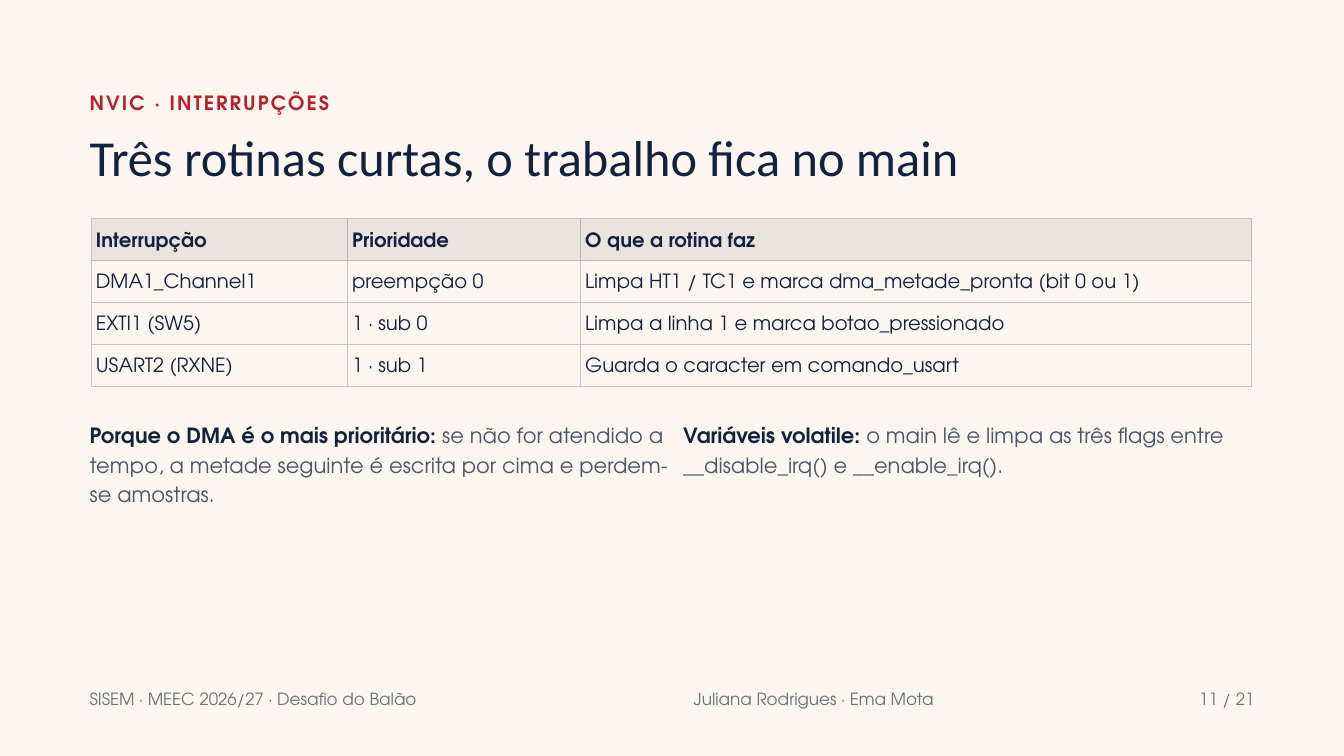
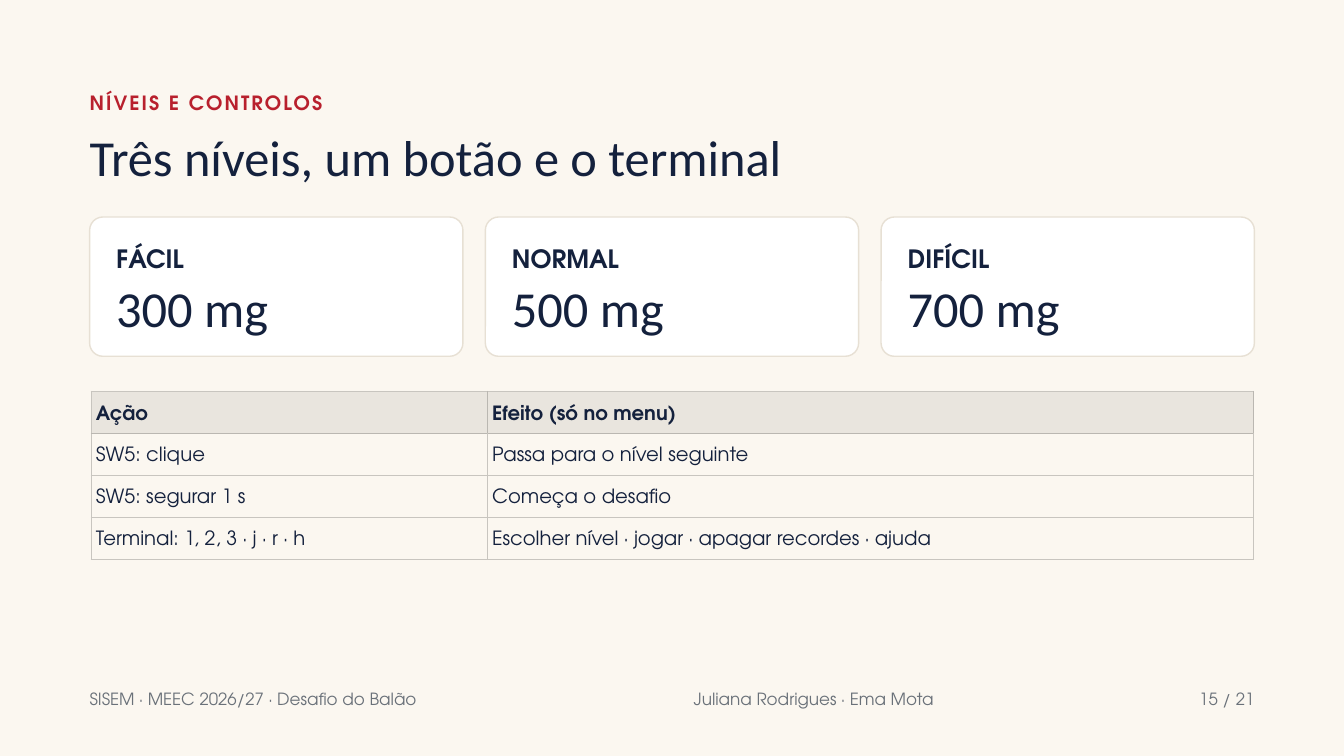
from lxml.etree import SubElement
from pptx import Presentation
from pptx.dml.color import RGBColor
from pptx.enum.shapes import MSO_SHAPE
from pptx.enum.text import MSO_AUTO_SIZE, PP_ALIGN
from pptx.oxml.ns import qn
from pptx.util import Emu, Pt

# Colours and fonts
CREAM = RGBColor(0xFB, 0xF7, 0xF0)
WHITE = RGBColor(0xFF, 0xFF, 0xFF)
NAVY = RGBColor(0x14, 0x21, 0x3D)
RED = RGBColor(0xB8, 0x20, 0x2D)
SLATE = RGBColor(0x4A, 0x55, 0x68)
GREY = RGBColor(0x6A, 0x71, 0x79)
SAND = RGBColor(0xE7, 0xE0, 0xD4)
HEAD = RGBColor(0xE9, 0xE5, 0xDE)
RULE = RGBColor(0xC8, 0xC5, 0xBF)
DARK = RGBColor(0xBA, 0xB7, 0xB1)
SANS = "TeX Gyre Adventor"
TITLE = "Calibri"

# Grid in px, 96 to the inch
LEFT, WIDTH, GAP = 128, 1664, 32
ROW = 60


def px(n):
    return Emu(round(n * 9525))


def style(font, size, color, bold=False, name=SANS):
    font.size, font.name, font.bold = Pt(size), name, bold
    font.color.rgb = color


def add_box(slide, x, y, w, h, lead):
    """Add an empty text box and return its first paragraph."""
    frame = slide.shapes.add_textbox(px(x), px(y), px(w), px(h)).text_frame
    frame.margin_left = frame.margin_right = 0
    frame.margin_top = frame.margin_bottom = 0
    frame.word_wrap = True
    frame.auto_size = MSO_AUTO_SIZE.SHAPE_TO_FIT_TEXT
    para = frame.paragraphs[0]
    para.line_spacing = Pt(lead)
    return para


def add_text(slide, text, x, y, w, h, size, lead, color=NAVY, bold=False, name=SANS):
    para = add_box(slide, x, y, w, h, lead)
    para.add_run().text = text
    style(para.font, size, color, bold, name)
    return para


def add_note(slide, x, lead, rest):
    para = add_box(slide, x, 598, 841, 135, 31.5)
    for text, color, bold in ((lead, NAVY, True), (rest, SLATE, False)):
        run = para.add_run()
        run.text = text
        style(run.font, 22.5, color, bold)


def add_border(cell, side, color):
    line = SubElement(cell._tc.get_or_add_tcPr(), qn(f"a:ln{side}"), w="12700")
    fill = SubElement(line, qn("a:solidFill"))
    SubElement(fill, qn("a:srgbClr"), val=str(color))


def fill_cell(cell, text, row, col, last):
    cell.margin_left = cell.margin_right = px(7)
    cell.margin_top = cell.margin_bottom = px(7)
    head = row == 0
    edges = {
        "L": DARK if head and col > 0 else RULE,
        "R": DARK if head else RULE,
        "T": DARK if row == 1 else RULE,
        "B": DARK if head else RULE,
    }
    for side, color in edges.items():
        add_border(cell, side, color)
    if head:
        cell.fill.solid()
        cell.fill.fore_color.rgb = HEAD
    else:
        cell.fill.background()
    para = cell.text_frame.paragraphs[0]
    para.line_spacing = Pt(29.4)
    para.add_run().text = text
    style(para.font, 21, NAVY, head)


def add_grid(slide, y, widths, rows):
    table = slide.shapes.add_table(
        len(rows), len(widths), px(LEFT + 2), px(y), px(sum(widths)), px(ROW * len(rows))
    ).table
    table.first_row = table.horz_banding = False
    for col, width in zip(table.columns, widths):
        col.width = px(width)
    for r, texts in enumerate(rows):
        table.rows[r].height = px(ROW)
        for c, text in enumerate(texts):
            fill_cell(table.cell(r, c), text, r, c, len(widths) - 1)


def add_card(slide, x, w, label, value):
    h = 199
    card = slide.shapes.add_shape(
        MSO_SHAPE.ROUNDED_RECTANGLE, px(x), px(310), px(w), px(h)
    )
    card.adjustments[0] = 19 / h
    card.shadow.inherit = False
    card.fill.solid()
    card.fill.fore_color.rgb = WHITE
    card.line.color.rgb = SAND
    card.line.width = Pt(1.5)
    add_text(slide, label, x + 38, 348, 471, 47, 27, 32.4, bold=True)
    add_text(slide, value, x + 38, 410, 471, 66, 54, 54, name=TITLE)


def add_page(deck, topic, title, number):
    """Add a slide with the shared background, heading and footer."""
    slide = deck.slides.add_slide(deck.slide_layouts[6])
    slide.background.fill.solid()
    slide.background.fill.fore_color.rgb = CREAM
    # Heading
    para = add_text(slide, topic, LEFT, 124, 1714, 47, 21, 29.4, RED, True)
    para.runs[0]._r.get_or_add_rPr().set("spc", "220")
    add_text(slide, title, LEFT, 188, 1714, 78, 54, 59.4, name=TITLE)
    # Footer
    foot = (
        ("SISEM · MEEC 2026/27 · Desafio do Balão", LEFT, 543),
        ("Juliana Rodrigues · Ema Mota", 991, 377),
        (f"{number} / 21", 1700, 92),
    )
    for text, x, w in foot:
        para = add_text(slide, text, x, 979, w, 40, 18, 25.2, GREY)
    para.alignment = PP_ALIGN.RIGHT
    return slide


def main():
    deck = Presentation()
    deck.slide_width, deck.slide_height = px(1920), px(1080)

    # Interrupts
    slide = add_page(
        deck, "NVIC · INTERRUPÇÕES", "Três rotinas curtas, o trabalho fica no main", 11
    )
    add_grid(slide, 312, (366, 333, 959), (
        ("Interrupção", "Prioridade", "O que a rotina faz"),
        ("DMA1_Channel1", "preempção 0",
         "Limpa HT1 / TC1 e marca dma_metade_pronta (bit 0 ou 1)"),
        ("EXTI1 (SW5)", "1 · sub 0", "Limpa a linha 1 e marca botao_pressionado"),
        ("USART2 (RXNE)", "1 · sub 1", "Guarda o caracter em comando_usart"),
    ))
    add_note(
        slide, LEFT, "Porque o DMA é o mais prioritário:",
        " se não for atendido a tempo, a metade seguinte é escrita por cima"
        " e perdem-se amostras.",
    )
    add_note(
        slide, 976, "Variáveis volatile:",
        " o main lê e limpa as três flags entre __disable_irq() e __enable_irq().",
    )

    # Levels and controls
    slide = add_page(
        deck, "NÍVEIS E CONTROLOS", "Três níveis, um botão e o terminal", 15
    )
    cards = (("FÁCIL", "300 mg"), ("NORMAL", "500 mg"), ("DIFÍCIL", "700 mg"))
    wide = (WIDTH - GAP * (len(cards) - 1)) / len(cards)
    for i, (label, value) in enumerate(cards):
        add_card(slide, LEFT + i * (wide + GAP), wide, label, value)
    add_grid(slide, 559, (566, 1094), (
        ("Ação", "Efeito (só no menu)"),
        ("SW5: clique", "Passa para o nível seguinte"),
        ("SW5: segurar 1 s", "Começa o desafio"),
        ("Terminal: 1, 2, 3 · j · r · h",
         "Escolher nível · jogar · apagar recordes · ajuda"),
    ))

    deck.save("out.pptx")


if __name__ == "__main__":
    main()
